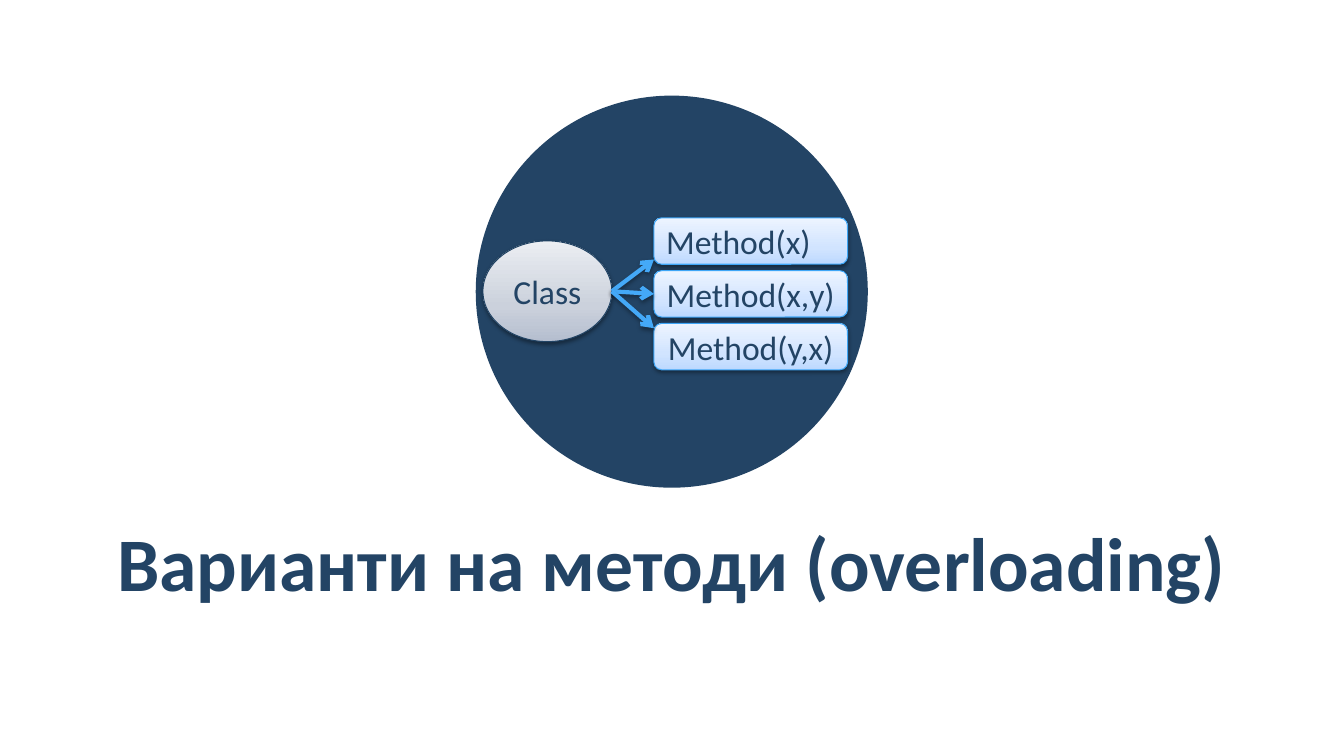
import pptx
import pptx.util
import pptx.dml.color
import pptx.enum.shapes
import pptx.enum.text
import pptx.oxml
import pptx.oxml.ns

Cm, Pt = pptx.util.Cm, pptx.util.Pt
SHAPE = pptx.enum.shapes.MSO_SHAPE
ALIGN = pptx.enum.text.PP_ALIGN

TITLE = "Варианти на методи (overloading)"
CLASS_LABEL = "Class"
METHODS = [
    ("Method(x)", ALIGN.LEFT),
    ("Method(x,y)", ALIGN.CENTER),
    ("Method(y,x)", ALIGN.CENTER),
]
FONT = "Calibri"
COLORS = {
    "navy": "234465",
    "class_line": "214364",
    "method_line": "3EA6F7",
    "arrow": "44A9F8",
}
GRADIENTS = {
    "class": [(0, "B5BECF"), (35, "CBD1DC"), (100, "EBEEF2")],
    "method": [(0, "BDD9FF"), (35, "D1E4FF"), (100, "EDF4FF")],
}

# Geometry in centimetres
CIRCLE = (11.99, 2.41, 9.88, 9.88)
TITLE_BOX = (1.7, 13.08, 30.45, 2.13)
CLASS_OVAL = (12.17, 6.07, 3.25, 2.54)
METHOD_LEFT, METHOD_TOP, METHOD_W, METHOD_H = 16.48, 5.49, 4.88, 1.17
METHOD_STEP = 1.33
CORNER_INSET = 0.12


def rgb(name):
    return pptx.dml.color.RGBColor.from_string(COLORS[name])


def from_xml(body):
    return pptx.oxml.parse_xml(body.replace(">", f" {pptx.oxml.ns.nsdecls('a')}>", 1))


def add_shadow(sp, alpha, distance):
    sp._element.spPr.append(from_xml(
        f'<a:effectLst><a:outerShdw blurRad="{Pt(3.1)}" dist="{Pt(distance)}" '
        'dir="5400000" rotWithShape="0"><a:srgbClr val="000000">'
        f'<a:alpha val="{alpha * 1000}"/></a:srgbClr></a:outerShdw></a:effectLst>'))


def set_text(sp, text, size, align, bold=False):
    tf = sp.text_frame
    tf.word_wrap = True
    tf.vertical_anchor = pptx.enum.text.MSO_ANCHOR.MIDDLE
    tf.text = text
    p = tf.paragraphs[0]
    p.alignment = align
    font = p.runs[0].font
    font.name, font.size, font.bold = FONT, Pt(size), bold
    font.color.rgb = rgb("navy")


def add_node(slide, kind, box, style, text, align):
    """Add a labelled shape with a bottom-to-top gradient and a shadow."""
    sp = slide.shapes.add_shape(kind, *map(Cm, box))
    stops = "".join(f'<a:gs pos="{pos * 1000}"><a:srgbClr val="{color}"/></a:gs>'
                    for pos, color in GRADIENTS[style])
    geometry = sp._element.spPr.find(pptx.oxml.ns.qn("a:prstGeom"))
    geometry.addnext(from_xml(
        f'<a:gradFill rotWithShape="1"><a:gsLst>{stops}</a:gsLst>'
        '<a:lin ang="16200000" scaled="0"/></a:gradFill>'))
    sp.line.color.rgb = rgb(style + "_line")
    sp.line.width = Pt(0.75)
    add_shadow(sp, 38, 1.6)
    set_text(sp, text, 24, align)
    return sp


def add_arrow(slide, start, end):
    arrow = slide.shapes.add_connector(
        pptx.enum.shapes.MSO_CONNECTOR.STRAIGHT, *map(Cm, start + end))
    arrow.line.color.rgb = rgb("arrow")
    arrow.line.width = Pt(3)
    arrow.line._get_or_add_ln().append(from_xml('<a:tailEnd type="arrow"></a:tailEnd>'))
    add_shadow(arrow, 35, 1.8)
    return arrow


def main():
    prs = pptx.Presentation()
    prs.slide_width, prs.slide_height = Cm(33.87), Cm(19.05)
    slide = prs.slides.add_slide(prs.slide_layouts[6])

    circle = slide.shapes.add_shape(SHAPE.OVAL, *map(Cm, CIRCLE))
    circle.shadow.inherit = False
    circle.fill.solid()
    circle.fill.fore_color.rgb = rgb("navy")
    circle.line.fill.background()

    title = slide.shapes.add_textbox(*map(Cm, TITLE_BOX))
    set_text(title, TITLE, 54, ALIGN.CENTER, bold=True)
    tf = title.text_frame
    tf.margin_left = tf.margin_right = Cm(0.3)
    tf.margin_top = tf.margin_bottom = Cm(0.1)

    add_node(slide, SHAPE.OVAL, CLASS_OVAL, "class", CLASS_LABEL, ALIGN.CENTER)
    left, top, width, height = CLASS_OVAL
    start = (left + width, top + height / 2)

    tops = [METHOD_TOP + i * METHOD_STEP for i in range(len(METHODS))]
    boxes = [add_node(slide, SHAPE.ROUNDED_RECTANGLE,
                      (METHOD_LEFT, y, METHOD_W, METHOD_H), "method", text, align)
             for y, (text, align) in zip(tops, METHODS)]

    # The outer arrows meet the box corners nearest the class
    ends = [tops[0] + METHOD_H - CORNER_INSET,
            tops[1] + METHOD_H / 2,
            tops[2] + CORNER_INSET]
    arrows = [add_arrow(slide, start, (METHOD_LEFT, y)) for y in ends]
    arrows[1].end_connect(boxes[1], 1)

    prs.save("out.pptx")


if __name__ == "__main__":
    main()
